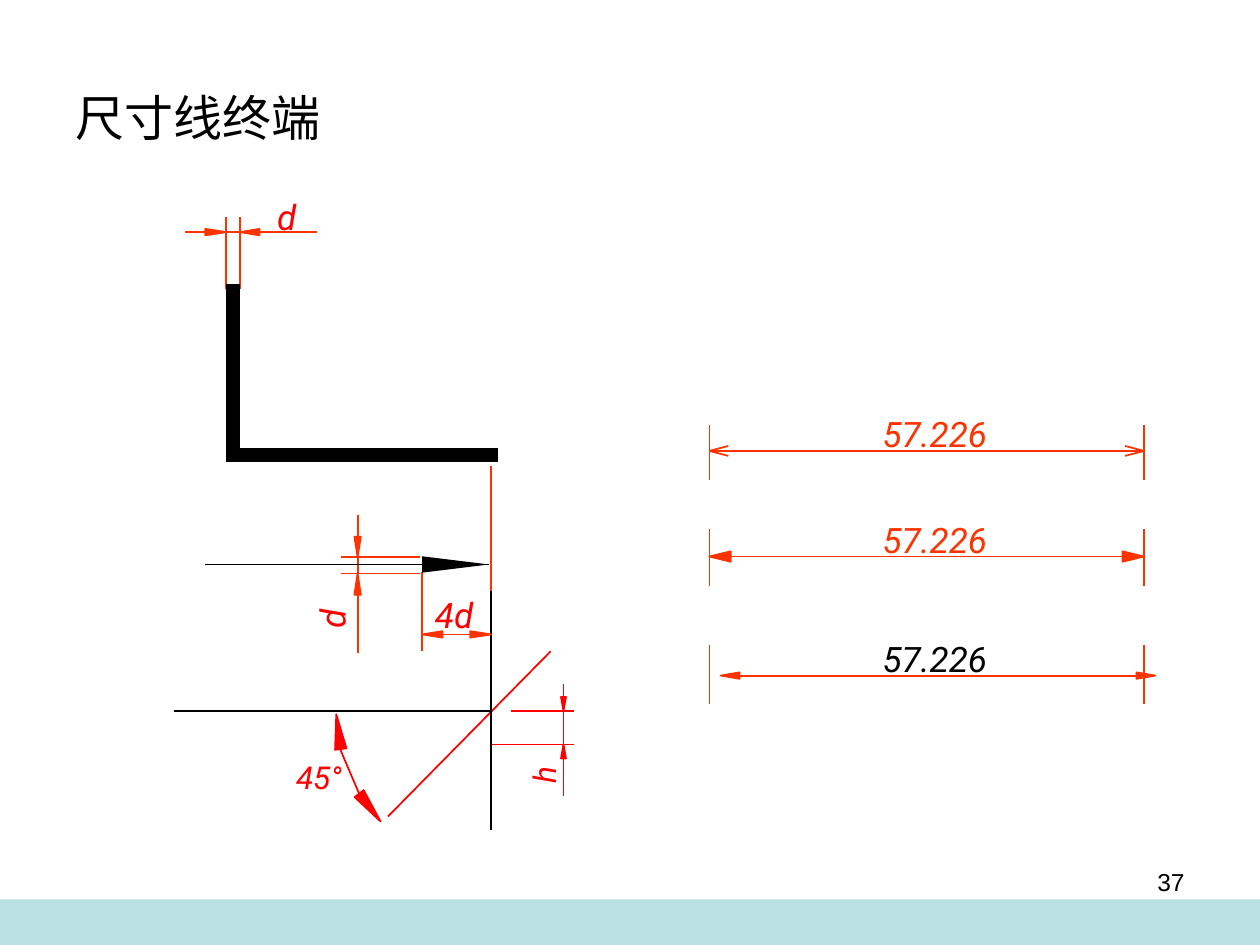
from math import hypot
from lxml.etree import SubElement
from pptx import Presentation
from pptx.dml.color import RGBColor
from pptx.enum.shapes import MSO_CONNECTOR, MSO_SHAPE
from pptx.enum.text import MSO_ANCHOR, PP_ALIGN
from pptx.oxml.ns import qn
from pptx.util import Cm, Pt

THEME = {
    "black": "000000", "orange": "FF3300", "red": "FF0000", "band": "BBE0E3",
    "title": 28, "label": 20, "small": 18, "page": 14,
    "body": "Arial", "drawing": "Roboto", "thin": 1, "thick": 8,
}

# Positions are in centimetres.
# text, box, rotation, size, colour, alignment
LABELS = [
    ("d", (5.59, 3.94, 0.36, 0.84), 0, "label", "red", PP_ALIGN.CENTER),
    ("d", (6.5, 12.07, 0.36, 0.84), 270, "label", "red", PP_ALIGN.CENTER),
    ("4d", (8.76, 11.96, 0.79, 1.7), 0, "label", "red", PP_ALIGN.CENTER),
    ("h", (10.69, 15.14, 0.53, 0.76), 270, "small", "red", PP_ALIGN.LEFT),
    ("45°", (5.97, 15.29, 0.97, 0.76), 0, "small", "red", PP_ALIGN.LEFT),
]

# colour, width, lines as (x1, y1, x2, y2)
LINES = [
    ("orange", "thin", [
        # wall thickness d
        (4.56, 5.82, 4.56, 4.37), (4.84, 5.82, 4.84, 4.37),
        (3.73, 4.68, 4.14, 4.68), (4.56, 4.68, 4.84, 4.68),
        (5.23, 4.68, 6.4, 4.68),
        # arrow width d
        (8.46, 11.23, 6.88, 11.23), (8.46, 11.56, 6.88, 11.56),
        (7.21, 10.39, 7.21, 10.82), (7.21, 11.23, 7.21, 11.56),
        (7.21, 11.99, 7.21, 13.16),
        # arrow length 4d
        (8.51, 11.53, 8.51, 13.13), (9.9, 9.4, 9.9, 13.13),
        (8.92, 12.79, 9.48, 12.79),
    ]),
    ("red", "thin", [
        # stroke height h
        (10.31, 14.33, 11.58, 14.33), (9.91, 15.01, 11.58, 15.01),
        (11.36, 13.79, 11.36, 14.05), (11.36, 14.33, 11.36, 15.01),
        (11.36, 15.29, 11.36, 16.05),
        # oblique stroke and its angle
        (11.1, 13.13, 7.82, 16.46), (6.86, 15.11, 7.24, 16),
    ]),
    ("black", "thin", [
        (4.14, 11.38, 9.86, 11.38), (9.9, 11.91, 9.9, 16.74),
        (9.9, 14.33, 3.51, 14.33),
    ]),
    ("black", "thick", [(4.7, 5.72, 4.7, 9.32), (4.62, 9.17, 10.03, 9.17)]),
]

# colour, base width, heads as (base x, base y, tip x, tip y)
HEADS = [
    ("orange", 0.13, [
        (4.14, 4.68, 4.56, 4.68), (5.23, 4.68, 4.84, 4.68),
        (7.21, 10.82, 7.21, 11.23), (7.21, 11.99, 7.21, 11.56),
        (8.92, 12.79, 8.51, 12.79), (9.48, 12.79, 9.9, 12.79),
    ]),
    ("black", 0.33, [(8.51, 11.38, 9.86, 11.38)]),
    ("red", 0.1, [(11.36, 14.05, 11.36, 14.33), (11.36, 15.29, 11.36, 15.01)]),
    ("red", 0.23, [(6.87, 15.1, 6.78, 14.4), (7.24, 16, 7.67, 16.56)]),
]

# Sample dimensions share their extension lines.
LEFT, RIGHT = 14.3, 23.06
# y, extension top and bottom, left tip, right tip, head length, width, open, text colour
SAMPLES = [
    (9.09, 8.56, 9.68, LEFT, RIGHT, 0.38, 0.2, True, "orange"),
    (11.22, 10.67, 11.81, LEFT, RIGHT, 0.43, 0.21, False, "orange"),
    (13.62, 13, 14.2, 14.53, 23.29, 0.38, 0.13, False, "black"),
]


def tint(name):
    return RGBColor.from_string(THEME[name])


def text(words, box, size, color, align, font="drawing", turn=0,
         inset=(0, 0), anchor=MSO_ANCHOR.TOP, wrap=False):
    shape = slide.shapes.add_textbox(*map(Cm, box))
    shape.rotation = turn
    frame = shape.text_frame
    frame.word_wrap = wrap
    frame.vertical_anchor = anchor
    frame.margin_left = frame.margin_right = Cm(inset[0])
    frame.margin_top = frame.margin_bottom = Cm(inset[1])
    para = frame.paragraphs[0]
    para.alignment = align
    run = para.add_run()
    run.text = words
    run.font.name = THEME[font]
    run.font.size = Pt(THEME[size])
    run.font.italic = font == "drawing"
    run.font.color.rgb = tint(color)


def line(ends, color, width="thin"):
    link = slide.shapes.add_connector(MSO_CONNECTOR.STRAIGHT, *map(Cm, ends))
    link.line.color.rgb = tint(color)
    link.line.width = Pt(THEME[width])
    SubElement(link._element.spPr, qn("a:effectLst"))


def head(ends, width, color):
    """Draw a solid triangle from the middle of its base to its tip."""
    x, y, tipx, tipy = ends
    size = hypot(tipx - x, tipy - y)
    dx, dy = (y - tipy) / size * width / 2, (tipx - x) / size * width / 2
    pen = slide.shapes.build_freeform(Cm(x + dx), Cm(y + dy))
    pen.add_line_segments([(Cm(x - dx), Cm(y - dy)), (Cm(tipx), Cm(tipy))])
    shape = pen.convert_to_shape()
    shape.shadow.inherit = False
    shape.fill.solid()
    shape.fill.fore_color.rgb = tint(color)
    if color == "black":
        shape.line.fill.background()
    else:
        shape.line.color.rgb = tint(color)
        shape.line.width = Pt(THEME["thin"])


def sample(y, top, end, left, right, size, width, bare, color):
    text("57.226", (17.78, y - 0.77, 2.13, 0.84), "label", color, PP_ALIGN.CENTER)
    for x in (LEFT, RIGHT):
        line((x, top, x, end), "orange")
    bases = (left + size, right - size)
    line((left, y, right, y) if bare else (bases[0], y, bases[1], y), "orange")
    for base, tip in zip(bases, (left, right)):
        if bare:
            for side in (-width / 2, width / 2):
                line((base, y + side, tip, y), "orange")
        else:
            head((base, y, tip, y), width, "orange")


deck = Presentation()
deck.slide_width, deck.slide_height = Cm(25.4), Cm(19.05)
slide = deck.slides.add_slide(deck.slide_layouts[6])

band = slide.shapes.add_shape(MSO_SHAPE.RECTANGLE, 0, Cm(18.13), Cm(25.4), Cm(0.92))
band.shadow.inherit = False
band.fill.solid()
band.fill.fore_color.rgb = tint("band")
band.line.fill.background()

text("尺寸线终端", (1.27, 0.76, 22.86, 3.18), "title", "black", PP_ALIGN.LEFT,
     "body", inset=(0.25, 0.13), anchor=MSO_ANCHOR.MIDDLE, wrap=True)
for row in SAMPLES:
    sample(*row)
for color, width, group in LINES:
    for ends in group:
        line(ends, color, width)
for color, width, group in HEADS:
    for ends in group:
        head(ends, width, color)
for words, box, turn, size, color, align in LABELS:
    text(words, box, size, color, align, turn=turn)
text("37", (18.21, 17.35, 5.92, 1.32), "page", "black", PP_ALIGN.RIGHT,
     "body", inset=(0.25, 0.13), wrap=True)

deck.save("out.pptx")
